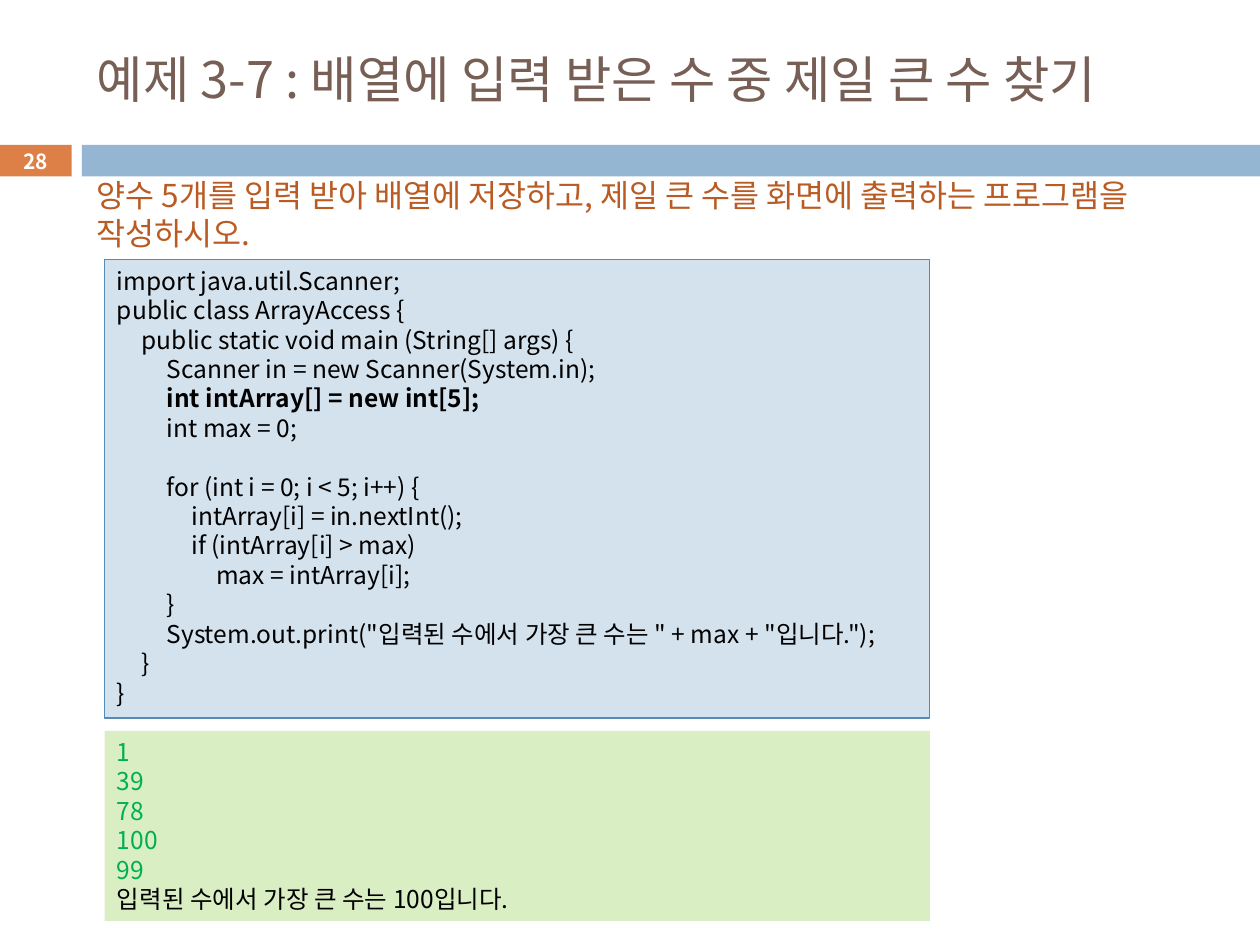
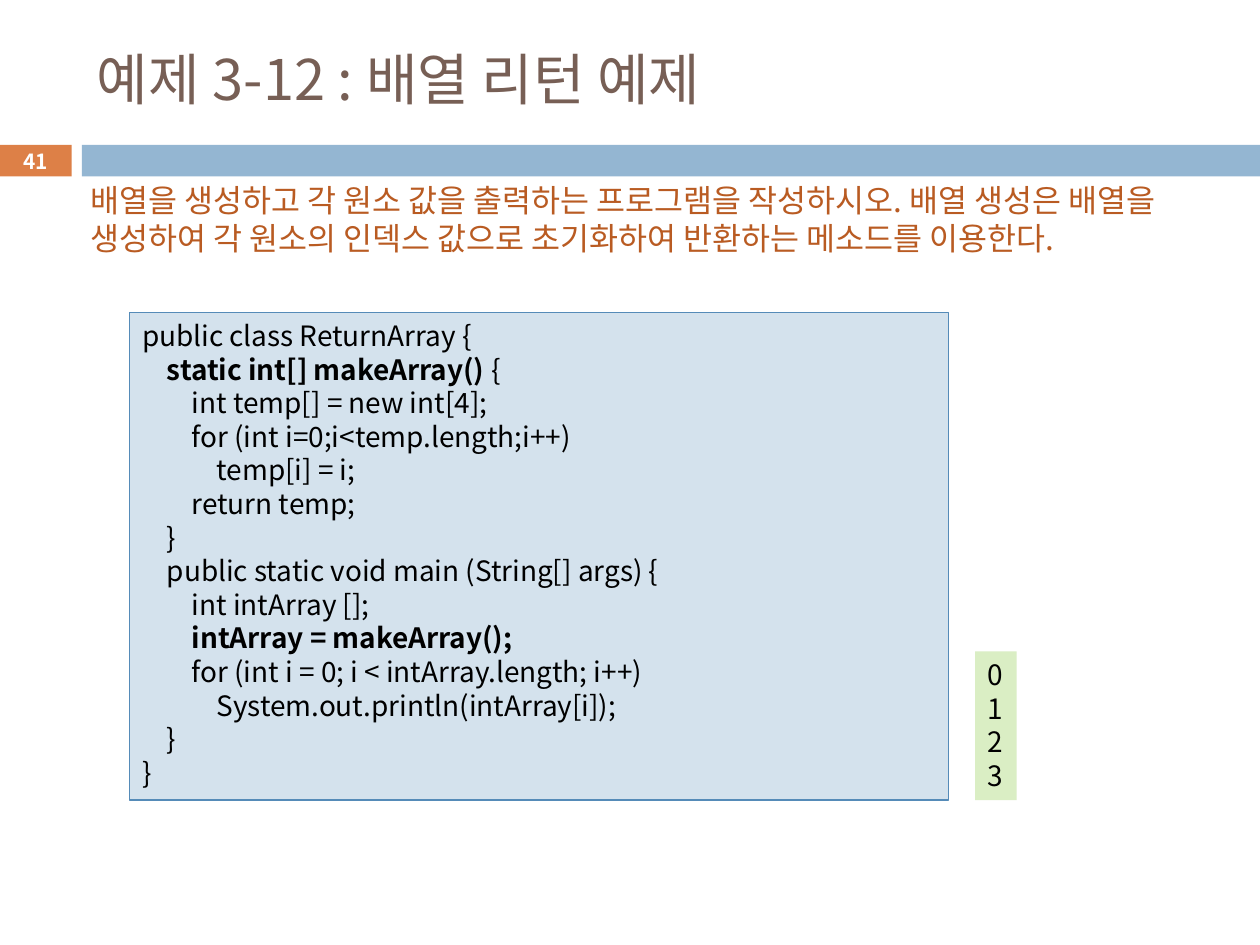
from pptx import Presentation
from pptx.dml.color import RGBColor
from pptx.enum.shapes import MSO_SHAPE
from pptx.enum.text import MSO_ANCHOR, PP_ALIGN
from pptx.util import Inches, Pt

RECT = MSO_SHAPE.RECTANGLE
TOP, MIDDLE = MSO_ANCHOR.TOP, MSO_ANCHOR.MIDDLE
LEFT, CENTER = PP_ALIGN.LEFT, PP_ALIGN.CENTER
FONT = "Noto Sans CJK KR"
PITCH = 1.2
TAB = 0.197
COLORS = {
    "title": "775F55", "task": "B95B22", "tag": "DD8047", "band": "94B6D2",
    "code": "D4E2ED", "edge": "558BB8", "output": "DAEEC4", "input": "00B050",
    "black": "000000", "white": "FFFFFF",
}

MAX_CODE = """import java.util.Scanner;
public class ArrayAccess {
    public static void main (String[] args) {
        Scanner in = new Scanner(System.in);
        *int intArray[] = new int[5];*
        int max = 0;

        for (int i = 0; i < 5; i++) {
            intArray[i] = in.nextInt();
            if (intArray[i] > max)
                max = intArray[i];
        }
        System.out.print("입력된 수에서 가장 큰 수는 " + max + "입니다.");
    }
}"""

RETURN_CODE = """public class ReturnArray {
    *static int[] makeArray() *{
        int temp[] = new int[4];
        for (int i=0;i<temp.length;i++)
            temp[i] = i;
        return temp;
    }
    public static void main (String[] args) {
        int intArray [];
        *intArray = makeArray();*
        for (int i = 0; i < intArray.length; i++)
            System.out.println(intArray[i]);
    }
}"""


def rgb(name):
    """Return the named colour."""
    return RGBColor.from_string(COLORS[name])


def add_box(slide, area, fill, line=None):
    """Add a flat rectangle."""
    box = slide.shapes.add_shape(RECT, *map(Inches, area))
    box.shadow.inherit = False
    box.fill.solid()
    box.fill.fore_color.rgb = rgb(fill)
    if line:
        box.line.color.rgb = rgb(line)
        box.line.width = Pt(0.75)
    else:
        box.line.fill.background()
    return box


def add_area(slide, area):
    """Add an empty text box."""
    return slide.shapes.add_textbox(*map(Inches, area))


def write(shape, text, size, color="black", last=None, bold=False,
          align=LEFT, anchor=TOP, wrap=True):
    """Write lines: indents set the level, stars mark bold, blanks add space."""
    frame = shape.text_frame
    frame.word_wrap = wrap
    frame.vertical_anchor = anchor
    lines = text.split("\n")
    para, gap = frame.paragraphs[0], 0
    for index, line in enumerate(lines):
        if not line:
            gap += size * PITCH
            continue
        if index:
            para = frame.add_paragraph()
        body = line.lstrip()
        depth = (len(line) - len(body)) // 4
        props = para._p.get_or_add_pPr()
        props.set("marL", str(Inches(depth * TAB)))
        props.set("indent", "0")
        para.alignment = align
        para.line_spacing = Pt(size * PITCH)
        para.space_before = Pt(gap)
        gap = 0
        tone = last if last and index == len(lines) - 1 else color
        for turn, part in enumerate(body.split("*")):
            if part:
                run = para.add_run()
                run.text = part
                font = run.font
                font.name, font.size = FONT, Pt(size)
                font.bold = bold or turn % 2 == 1
                font.color.rgb = rgb(tone)
                east = run._r.get_or_add_rPr().makeelement(
                    "{http://schemas.openxmlformats.org/drawingml/2006/main}ea",
                    {"typeface": FONT})
                run._r.rPr.append(east)


def add_page(deck, number, title, size):
    """Add a slide with its title, bands and number."""
    slide = deck.slides.add_slide(deck.slide_layouts[6])
    tag = add_box(slide, (0, 1.15, 0.57, 0.25), "tag")
    add_box(slide, (0.65, 1.15, 9.35, 0.25), "band")
    write(add_area(slide, (0.67, 0.25, 8.92, 0.74)), title, size,
          color="title", anchor=MIDDLE)
    write(tag, number, 11.9, color="white", bold=True,
          align=CENTER, anchor=MIDDLE)
    return slide


def add_task(slide, area, text):
    """Add the task statement."""
    write(add_area(slide, area), text, 18, color="task")


def add_code(slide, area, text, size):
    """Add a code panel."""
    write(add_box(slide, area, "code", line="edge"), text, size)


def add_output(slide, area, text, size, **form):
    """Add a panel with console output."""
    write(add_box(slide, area, "output"), text, size, **form)


def main():
    """Build and save the deck."""
    deck = Presentation()
    deck.slide_width, deck.slide_height = Inches(10), Inches(7.5)

    slide = add_page(deck, "28", "예제 3-7 : 배열에 입력 받은 수 중 제일 큰 수 찾기", 28.8)
    add_task(slide, (0.67, 1.35, 8.55, 0.71),
             "양수 5개를 입력 받아 배열에 저장하고, 제일 큰 수를 화면에 출력하는 "
             "프로그램을 작성하시오.")
    add_code(slide, (0.83, 2.06, 6.55, 3.64), MAX_CODE, 14)
    add_output(slide, (0.83, 5.8, 6.55, 1.51),
               "1\n39\n78\n100\n99\n입력된 수에서 가장 큰 수는 100입니다.", 14,
               color="input", last="black")

    slide = add_page(deck, "41", "예제 3-12 : 배열 리턴 예제", 32)
    add_code(slide, (1.03, 2.48, 6.5, 3.87), RETURN_CODE, 16)
    add_task(slide, (0.62, 1.39, 9.1, 1.01),
             "배열을 생성하고 각 원소 값을 출력하는 프로그램을 작성하시오. 배열 생성은 "
             "배열을 생성하여 각 원소의 인덱스 값으로 초기화하여 반환하는 메소드를 이용한다.")
    add_output(slide, (7.74, 5.17, 0.33, 1.18), "0\n1\n2\n3", 16, wrap=False)

    deck.save("out.pptx")


if __name__ == "__main__":
    main()
